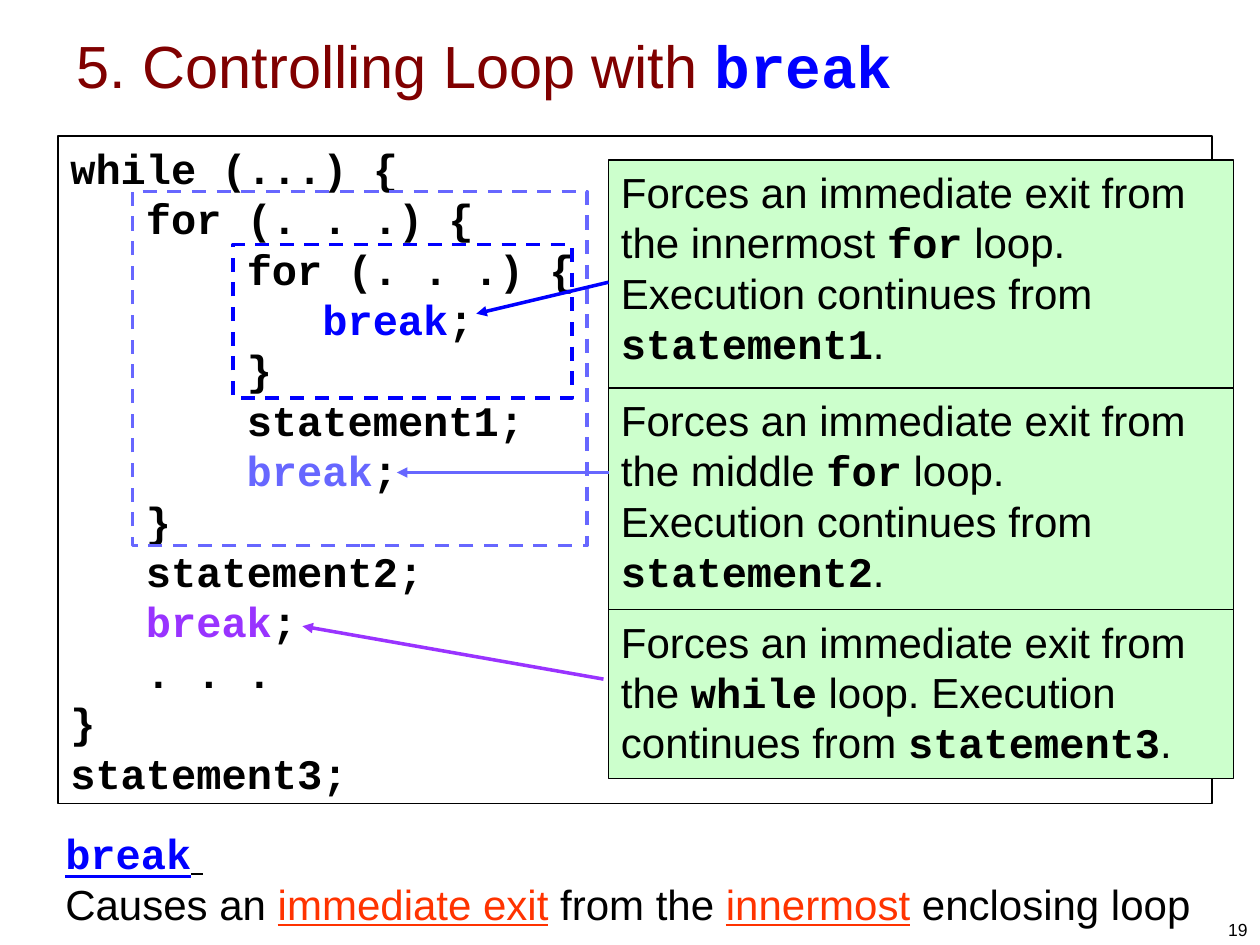
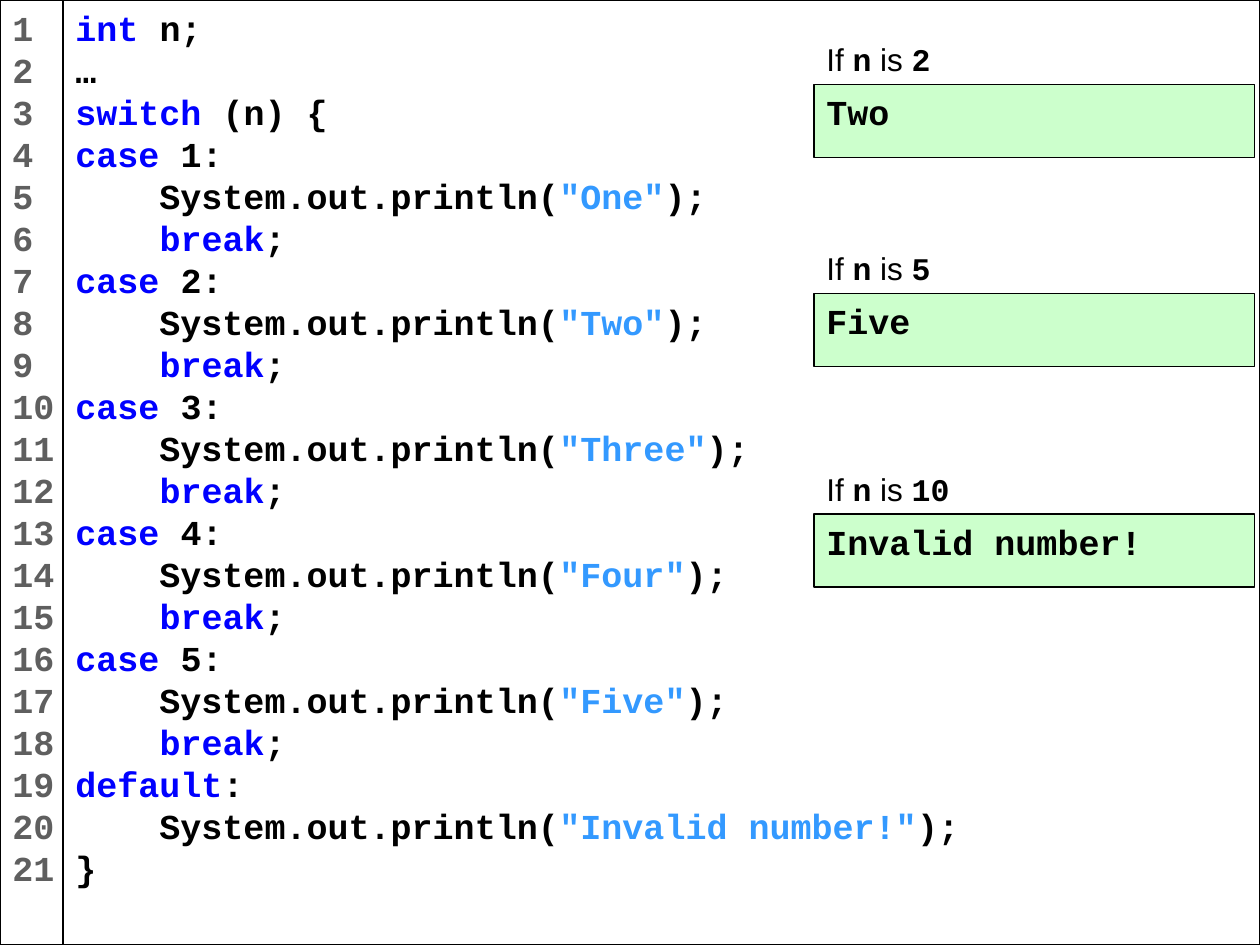
from lxml import etree
from pptx import Presentation
from pptx.dml.color import RGBColor
from pptx.enum.dml import MSO_LINE
from pptx.enum.shapes import MSO_CONNECTOR, MSO_SHAPE
from pptx.enum.text import MSO_ANCHOR, PP_ALIGN
from pptx.oxml.ns import qn
from pptx.util import Inches, Pt

RECTANGLE = MSO_SHAPE.RECTANGLE
STRAIGHT = MSO_CONNECTOR.STRAIGHT
DASH = MSO_LINE.DASH
TOP, MIDDLE, BOTTOM = MSO_ANCHOR.TOP, MSO_ANCHOR.MIDDLE, MSO_ANCHOR.BOTTOM
LEFT, RIGHT = PP_ALIGN.LEFT, PP_ALIGN.RIGHT
TITLE_ONLY, BLANK = 5, 6

COLORS = {
    "white": "FFFFFF", "black": "000000", "maroon": "800000", "green": "CCFFCC",
    "inner": "0000FF", "middle": "6767FF", "outer": "9933FF",
    "string": "3399FF", "red": "FF3300", "gray": "5F5F5F",
}
SANS, MONO = "Arial", "Courier New"

# Each style is font, colour, bold, underline.
STYLES = {
    "plain": (SANS, "black", False, False),
    "title": (SANS, "maroon", False, False),
    "gap": (SANS, "black", False, True),
    "stress": (SANS, "red", False, True),
    "code": (MONO, "black", True, False),
    "keyword": (MONO, "inner", True, False),
    "term": (MONO, "inner", True, True),
    "middle": (MONO, "middle", True, False),
    "outer": (MONO, "outer", True, False),
    "string": (MONO, "string", True, False),
    "number": (MONO, "gray", True, False),
}


def rgb(name):
    """Return the named colour."""
    return RGBColor.from_string(COLORS[name])


def write(frame, lines, size, align=LEFT, anchor=TOP, wrap=True, right_inset=0.1):
    """Fill a text frame with lines made of (text, style) runs."""
    frame.word_wrap = wrap
    frame.vertical_anchor = anchor
    frame.margin_left, frame.margin_right = Inches(0.1), Inches(right_inset)
    frame.margin_top = frame.margin_bottom = Inches(0.05)
    for index, line in enumerate(lines):
        paragraph = frame.add_paragraph() if index else frame.paragraphs[0]
        paragraph.alignment = align
        for text, style in line:
            run = paragraph.add_run()
            run.text = text
            font = run.font
            font.name, color, font.bold, font.underline = STYLES[style]
            font.size = Pt(size)
            font.color.rgb = rgb(color)


def add_text(slide, box, lines, size, **layout):
    """Add a text box."""
    label = slide.shapes.add_textbox(*map(Inches, box))
    write(label.text_frame, lines, size, **layout)


def add_panel(slide, box, lines, size, fill="white", **layout):
    """Add a filled, thinly outlined rectangle with text."""
    panel = slide.shapes.add_shape(RECTANGLE, *map(Inches, box))
    panel.shadow.inherit = False
    panel.fill.solid()
    panel.fill.fore_color.rgb = rgb(fill)
    panel.line.color.rgb = rgb("black")
    panel.line.width = Pt(0.75)
    write(panel.text_frame, lines, size, **layout)


def add_loop_frame(slide, box, color):
    """Outline a loop body with dashes."""
    outline = slide.shapes.add_shape(RECTANGLE, *map(Inches, box))
    outline.shadow.inherit = False
    outline.fill.background()
    outline.line.color.rgb = rgb(color)
    outline.line.width = Pt(2)
    outline.line.dash_style = DASH


def add_arrow(slide, start, end, color):
    """Draw an arrow from an explanation to its statement."""
    arrow = slide.shapes.add_connector(STRAIGHT, *map(Inches, start + end))
    arrow.line.color.rgb = rgb(color)
    arrow.line.width = Pt(2)
    properties = arrow._element.spPr
    etree.SubElement(properties.find(qn("a:ln")), qn("a:tailEnd"), type="triangle")
    etree.SubElement(properties, qn("a:effectLst"))


def add_title(slide, box, runs):
    """Place and format the slide title."""
    title = slide.shapes.title
    title.left, title.top, title.width, title.height = map(Inches, box)
    write(title.text_frame, [runs], 34, anchor=MIDDLE)


def add_nested_loops(slide, box):
    """Show the nested loops with a dashed frame around each inner one."""
    left, top = box[:2]
    add_panel(slide, box, [
        [("while (...) {", "code")],
        [("   for (. . .) {", "code")],
        [("       for (. . .) {", "code")],
        [("          ", "code"), ("break", "keyword"), (";", "code")],
        [("       }", "code")],
        [("       statement1;", "code")],
        [("       ", "code"), ("break", "middle"), (";", "code")],
        [("   }", "code")],
        [("   statement2;", "code")],
        [("   ", "code"), ("break", "outer"), (";", "code")],
        [("   . . .", "code")],
        [("}", "code")],
        [("statement3;", "code")],
    ], 24)
    add_loop_frame(slide, (left + 1.39, top + 0.86, 2.69, 1.22), "inner")
    add_loop_frame(slide, (left + 0.59, top + 0.44, 3.61, 2.81), "middle")


def add_explanations(slide, left, top, width):
    """Stack the explanations and point each at its break statement."""
    exit_from = "Forces an immediate exit from the "
    explanations = [
        (1.81, "inner", (0, 0.97), (-1.05, 1.22), [
            [(exit_from + "innermost ", "plain"), ("for", "code"),
             (" loop. Execution continues from ", "plain"),
             ("statement1", "code"), (".", "plain")]]),
        (1.76, "middle", (0, 0.67), (-1.68, 0.67), [
            [(exit_from + "middle ", "plain"), ("for", "code"), (" loop.", "plain")],
            [("Execution continues from ", "plain"),
             ("statement2", "code"), (".", "plain")]]),
        (1.34, "outer", (-0.04, 0.55), (-2.43, 0.13), [
            [(exit_from, "plain"), ("while", "code"),
             (" loop. Execution continues from ", "plain"),
             ("statement3", "code"), (".", "plain")]]),
    ]
    for height, color, start, end, lines in explanations:
        add_panel(slide, (left, top, width, height), lines, 24, fill="green")
        start, end = [(left + x, top + y) for x, y in (start, end)]
        add_arrow(slide, start, end, color)
        top += height


def build_break_slide(deck):
    """Build the slide on leaving loops with break."""
    slide = deck.slides.add_slide(deck.slide_layouts[TITLE_ONLY])
    add_title(slide, (0.51, 0.18, 9, 0.67),
              [("5. Controlling Loop with ", "title"), ("break", "keyword")])
    add_text(slide, (7.67, 7.01, 2.33, 0.5), [[("19", "plain")]], 10,
             align=RIGHT, anchor=BOTTOM)
    add_nested_loops(slide, (0.46, 1.08, 9.16, 5.3))
    add_text(slide, (0.42, 6.52, 9.24, 0.9), [
        [("break", "term"), (" ", "gap")],
        [("Causes an ", "plain"), ("immediate exit", "stress"),
         (" from the ", "plain"), ("innermost", "stress"),
         (" enclosing loop", "plain")],
    ], 24)
    add_explanations(slide, 4.83, 1.27, 4.96)


def print_line(message):
    """Return the runs of one print statement."""
    return [("    System.out.println(", "code"), (f'"{message}"', "string"),
            (");", "code")]


def add_switch_listing(slide, box, gutter):
    """Show the switch statement beside its line numbers."""
    left, top, width, height = box
    listing = [
        [("int", "keyword"), (" n;", "code")],
        [("…", "code")],
        [("switch", "keyword"), (" (n) {", "code")],
    ]
    for value, word in enumerate(("One", "Two", "Three", "Four", "Five"), 1):
        listing += [
            [("case", "keyword"), (f" {value}:", "code")],
            print_line(word),
            [("    ", "code"), ("break", "keyword"), (";", "code")],
        ]
    listing += [
        [("default", "keyword"), (":", "code")],
        print_line("Invalid number!"),
        [("}", "code")],
    ]
    numbers = [[(str(number), "number")] for number in range(1, len(listing) + 1)]
    add_panel(slide, (left + gutter, top, width - gutter, height), listing, 20)
    add_panel(slide, (left, top, gutter, height), numbers, 20, right_inset=0)


def add_output(slide, left, top, value, output):
    """Show what is printed for one value of n."""
    label_height = 0.4
    add_panel(slide, (left, top + label_height, 3.5, 0.58), [[(output, "code")]],
              20, fill="green")
    add_text(slide, (left, top, 1.18, label_height),
             [[("If ", "plain"), ("n", "code"), (" is ", "plain"), (value, "code")]],
             18, wrap=False)


def build_switch_slide(deck):
    """Build the slide on break inside a switch."""
    slide = deck.slides.add_slide(deck.slide_layouts[BLANK])
    add_switch_listing(slide, (0, 0, 10, 7.5), 0.5)
    for top, value, output in ((0.27, "2", "Two"), (1.93, "5", "Five"),
                               (3.68, "10", "Invalid number!")):
        add_output(slide, 6.46, top, value, output)


def main():
    """Build and save the deck."""
    deck = Presentation()
    deck.slide_width, deck.slide_height = Inches(10), Inches(7.5)
    build_break_slide(deck)
    build_switch_slide(deck)
    deck.save("out.pptx")


if __name__ == "__main__":
    main()
